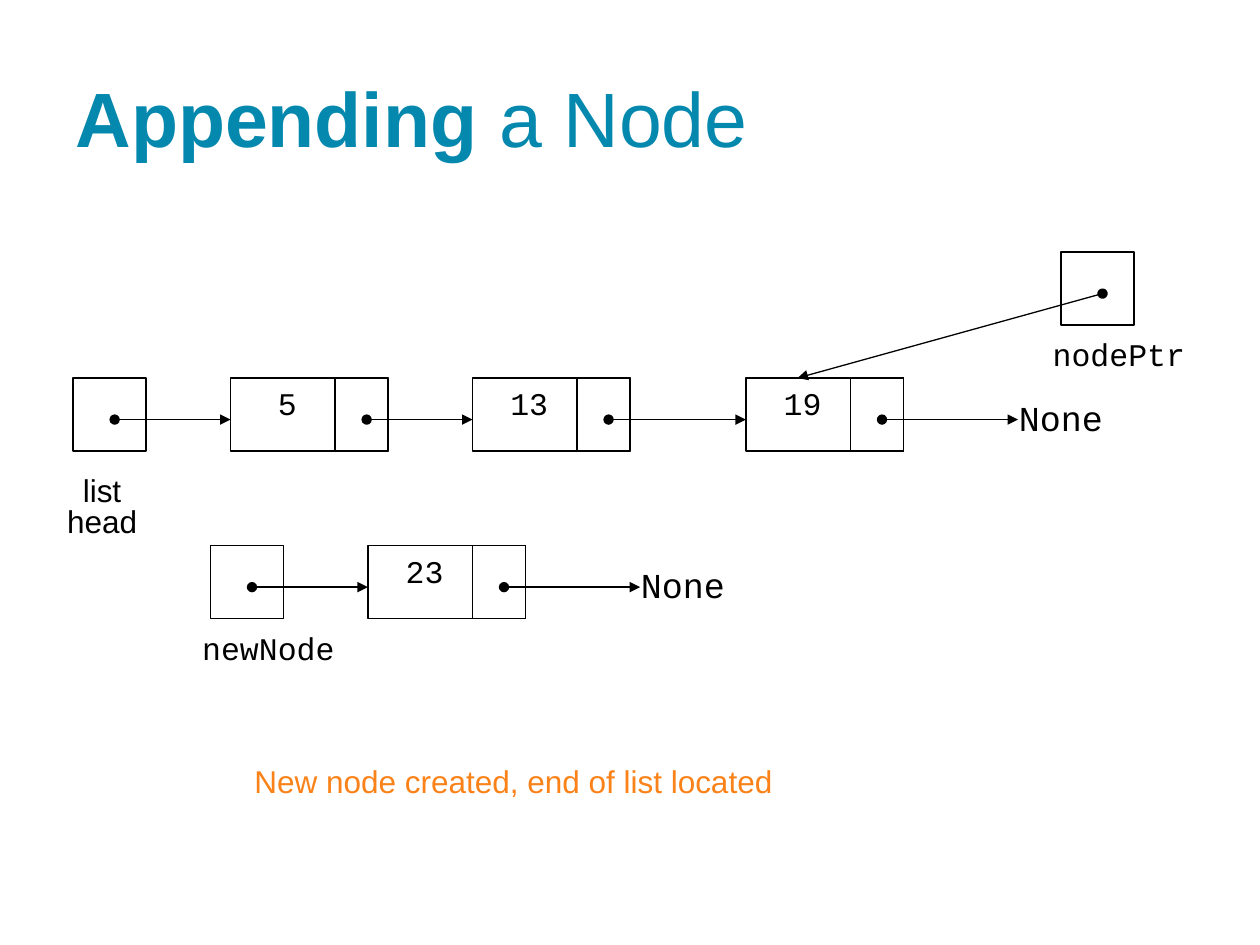
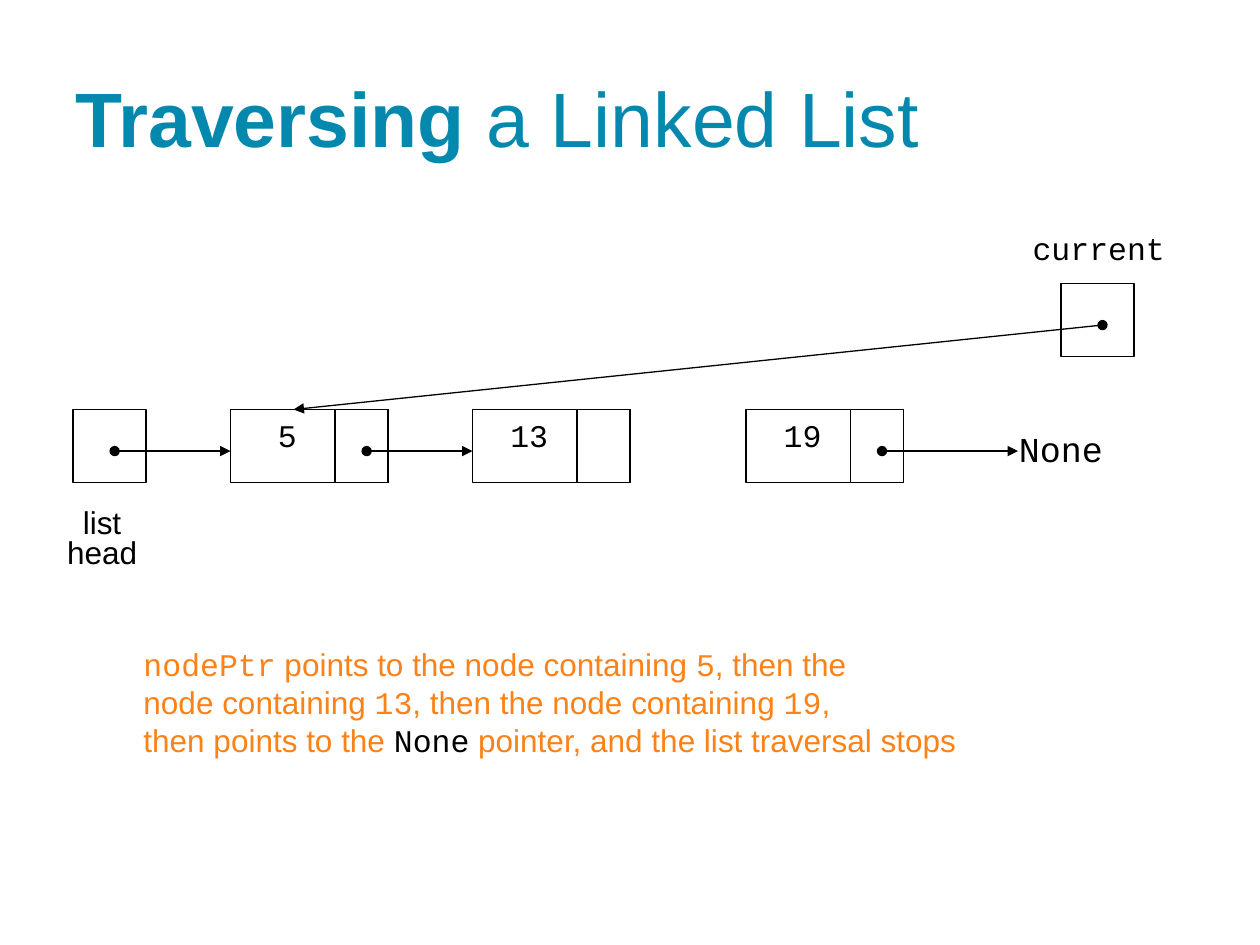
"""Build two slides that show a linked list being extended and traversed."""
from lxml import etree
from pptx import Presentation
from pptx import util as u
from pptx.dml.color import RGBColor
from pptx.enum import shapes, text
from pptx.oxml.ns import qn

TEAL = RGBColor(0x04, 0x88, 0xAE)
ORANGE = RGBColor(0xFA, 0x82, 0x18)
BLACK = RGBColor(0, 0, 0)
SANS, MONO = "Arial", "Courier New"

CELL = 0.58
NODE_WIDTH = 1.25
LINK_WIDTH = 0.42
DOT = 0.33
LINK_DOT = 1.08
NONE_REACH = 2.16
VALUES = {"5": 1.83, "13": 3.75, "19": 5.92}
HEAD_LEFT = 0.58
POINTER_LEFT = 8.42


class ListDeck:
    """Holds the deck, its style and the current slide."""

    def __init__(self):
        self.deck = Presentation()
        self.deck.slide_width, self.deck.slide_height = u.Inches(10), u.Inches(7.5)
        self.slide = None

    def add_run(self, paragraph, words, font=SANS, size=18, color=BLACK, bold=None):
        run = paragraph.add_run()
        run.text = words
        run.font.name, run.font.size = font, u.Pt(size)
        run.font.color.rgb, run.font.bold = color, bold

    def new_slide(self, strong, rest):
        self.slide = self.deck.slides.add_slide(self.deck.slide_layouts[5])
        title = self.slide.shapes.title
        title.left, title.top = u.Inches(0.5), u.Inches(0.3)
        title.width, title.height = u.Inches(9), u.Inches(1.25)
        frame = title.text_frame
        frame.auto_size = text.MSO_AUTO_SIZE.NONE
        frame.vertical_anchor = text.MSO_ANCHOR.MIDDLE
        paragraph = frame.paragraphs[0]
        paragraph.alignment = text.PP_ALIGN.LEFT
        self.add_run(paragraph, strong, size=44, color=TEAL, bold=True)
        self.add_run(paragraph, rest, size=44, color=TEAL, bold=False)

    def box(self, left, top, width=CELL):
        cell = self.slide.shapes.add_shape(
            shapes.MSO_SHAPE.RECTANGLE, u.Inches(left), u.Inches(top),
            u.Inches(width), u.Inches(CELL))
        cell.shadow.inherit = False
        cell.fill.background()
        cell.line.color.rgb, cell.line.width = BLACK, u.Pt(0.75)

    def arrow(self, x1, y1, x2, y2):
        link = self.slide.shapes.add_connector(
            shapes.MSO_CONNECTOR.STRAIGHT, *map(u.Inches, (x1, y1, x2, y2)))
        link.line.color.rgb, link.line.width = BLACK, u.Pt(0.75)
        properties = link.element.spPr
        outline = properties.find(qn("a:ln"))
        for end, kind in (("a:headEnd", "oval"), ("a:tailEnd", "triangle")):
            etree.SubElement(outline, qn(end), type=kind)
        etree.SubElement(properties, qn("a:effectLst"))

    def text_area(self, left, top, width, height, lines, align=None, spacing=None):
        area = self.slide.shapes.add_textbox(
            *map(u.Inches, (left, top, width, height)))
        frame = area.text_frame
        frame.word_wrap = False
        frame.auto_size = text.MSO_AUTO_SIZE.SHAPE_TO_FIT_TEXT
        for number, runs in enumerate(lines):
            paragraph = frame.add_paragraph() if number else frame.paragraphs[0]
            paragraph.alignment, paragraph.line_spacing = align, spacing
            for run in runs:
                self.add_run(paragraph, *run)

    def label(self, center, top, *lines, font=MONO, size=18, spacing=0.8,
              width=1.3, height=0.4):
        self.text_area(center - width / 2, top, width, height,
                       [[(line, font, size)] for line in lines],
                       text.PP_ALIGN.CENTER, spacing)

    def node(self, value, left, top):
        self.box(left, top, NODE_WIDTH)
        self.box(left + NODE_WIDTH - LINK_WIDTH, top, LINK_WIDTH)
        self.label(left + 0.45, top, value, spacing=None, width=0.6, height=0.5)

    def none_end(self, left, top):
        end = left + NONE_REACH
        self.arrow(left + LINK_DOT, top + DOT, end, top + DOT)
        self.label(end + 0.34, top + 0.03, "None", size=20, spacing=1.2,
                   width=0.88, height=0.49)

    def pointer(self, left, top, target_x, target_y):
        self.box(left, top)
        self.arrow(left + DOT, top + DOT, target_x, target_y)

    def linked_list(self, top, linked):
        lefts = list(VALUES.values())
        for value, left in VALUES.items():
            self.node(value, left, top)
        self.pointer(HEAD_LEFT, top, lefts[0], top + DOT)
        for value, following in zip(VALUES, lefts[1:]):
            if value in linked:
                self.arrow(VALUES[value] + LINK_DOT, top + DOT, following, top + DOT)
        self.none_end(lefts[-1], top)
        self.label(0.81, top + 0.75, "list", "head", font=SANS,
                   width=0.94, height=0.74)


def build_appending(show):
    """Show a new node beside the list whose end has been found."""
    list_top, new_top, pointer_top = 3, 4.33, 2
    new_left, node_left = 1.67, 2.92
    show.new_slide("Appending ", "a Node")
    show.linked_list(list_top, ("5", "13"))
    show.pointer(new_left, new_top, node_left, new_top + DOT)
    show.label(2.13, new_top + 0.67, "newNode")
    show.node("23", node_left, new_top)
    show.none_end(node_left, new_top)
    show.pointer(POINTER_LEFT, pointer_top, 6.33, list_top)
    show.label(8.88, pointer_top + 0.67, "nodePtr")
    show.text_area(1.92, 6, 4.35, 0.4,
                   [[("New node created, end of list located", SANS, 18, ORANGE)]])


def build_traversing(show):
    """Show the current pointer at the first node and explain its walk."""
    list_top, pointer_top = 3.25, 2.25
    prose, code = (SANS, 18, ORANGE), (MONO, 18, ORANGE)
    show.new_slide("Traversing", " a Linked List")
    show.linked_list(list_top, ("5",))
    show.pointer(POINTER_LEFT, pointer_top, 2.33, list_top)
    show.label(8.72, pointer_top - 0.42, "current")
    show.text_area(1.04, 5.07, 6.78, 1.04, [
        [("nodePtr", *code), (" points to the node containing ", *prose),
         ("5", *code), (", then the", *prose)],
        [("node containing ", *prose), ("13", *code),
         (", then the node containing ", *prose), ("19", *code), (",", *prose)],
        [("then points to the ", *prose), ("None", MONO),
         (" pointer, and the list traversal stops", *prose)],
    ])


def main():
    """Build both slides and save the deck."""
    show = ListDeck()
    build_appending(show)
    build_traversing(show)
    show.deck.save("out.pptx")


if __name__ == "__main__":
    main()
